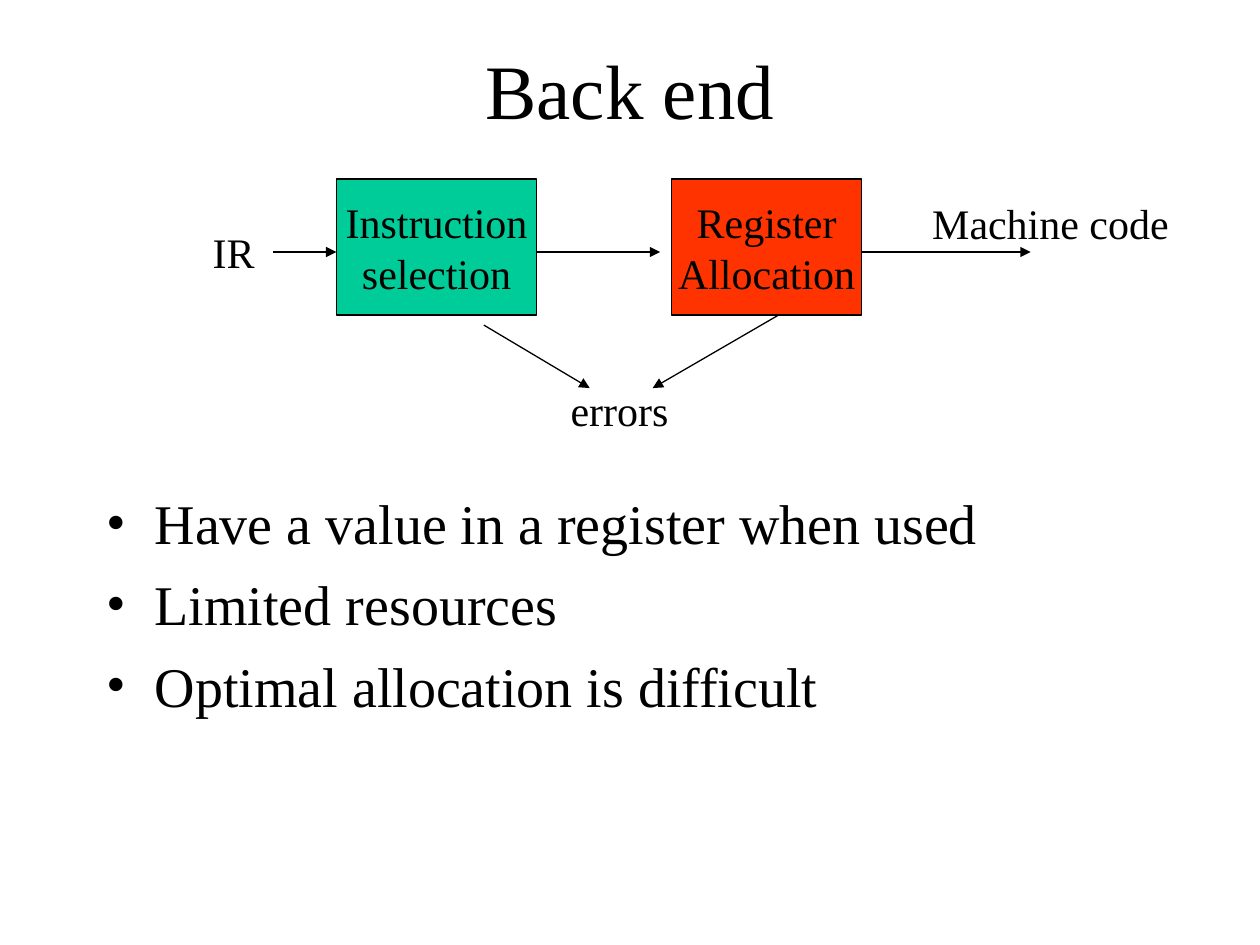
from dataclasses import dataclass

from lxml.etree import SubElement
from pptx import Presentation
from pptx.dml.color import RGBColor
from pptx.enum.shapes import MSO_CONNECTOR, MSO_SHAPE
from pptx.enum.text import MSO_ANCHOR, MSO_AUTO_SIZE, PP_ALIGN
from pptx.oxml.ns import qn
from pptx.util import Inches, Pt


@dataclass(frozen=True)
class Theme:
    """Colours, font and sizes of the slide."""
    font: str = "Times New Roman"
    ink: str = "000000"
    paper: str = "FFFFFF"
    green: str = "00CC99"
    red: str = "FF3300"
    title: int = 44
    body: int = 32
    label: int = 24
    line: float = 0.74
    bullet_gap: int = 8
    indent: float = 0.38


THEME = Theme()
WIDTH, HEIGHT = 10, 7.5
MARGIN = 0.75
FLOW = 2.0                        # height of the main line of arrows
STAGE_TOP, STAGE_HEIGHT = 1.42, 1.08
STAGE_BOTTOM = STAGE_TOP + STAGE_HEIGHT
ERRORS_TOP = 3.08

TITLE = "Back end"
BULLETS = ["Have a value in a register when used",
           "Limited resources",
           "Optimal allocation is difficult"]
# lines, left, width, fill
STAGES = [(["Instruction", "selection"], 2.67, 1.59, THEME.green),
          (["Register", "Allocation"], 5.33, 1.51, THEME.red)]
# text, left, top, width with a little room to spare
LABELS = [("IR", 1.59, 1.75, 0.56),
          ("Machine code", 7.3, 1.52, 2.12),
          ("errors", 4.43, 3.0, 1.02)]
# start, end
ARROWS = [((2.17, FLOW), (2.67, FLOW)),
          ((4.25, FLOW), (5.24, FLOW)),
          ((6.84, FLOW), (8.18, FLOW)),
          ((3.84, 2.58), (4.68, ERRORS_TOP)),
          ((6.18, STAGE_BOTTOM), (5.18, ERRORS_TOP))]


def colour(code):
    """Turn a hex code into a colour."""
    return RGBColor.from_string(code)


def write(frame, lines, size, align=PP_ALIGN.LEFT, anchor=MSO_ANCHOR.TOP, wrap=False):
    """Fill a text frame with one paragraph per line."""
    frame.word_wrap = wrap
    frame.auto_size = MSO_AUTO_SIZE.NONE
    frame.vertical_anchor = anchor
    for index, line in enumerate(lines):
        para = frame.paragraphs[0] if index == 0 else frame.add_paragraph()
        para.alignment = align
        span = para.add_run()
        span.text = line
        span.font.name = THEME.font
        span.font.size = Pt(size)
        span.font.color.rgb = colour(THEME.ink)


def add_bullets(page):
    """Add the bulleted list below the diagram."""
    box = page.shapes.add_textbox(Inches(MARGIN), Inches(3.83),
                                  Inches(WIDTH - 2 * MARGIN), Inches(2.83))
    write(box.text_frame, BULLETS, THEME.body, wrap=True)
    for para in box.text_frame.paragraphs:
        para.space_before = Pt(THEME.bullet_gap)
        properties = para._p.get_or_add_pPr()
        properties.set("marL", str(Inches(THEME.indent)))
        properties.set("indent", str(-Inches(THEME.indent)))
        SubElement(properties, qn("a:buFont"), typeface=THEME.font)
        SubElement(properties, qn("a:buChar"), char="•")


def add_stage(page, lines, left, width, fill):
    """Add one coloured stage of the back end."""
    stage = page.shapes.add_shape(MSO_SHAPE.RECTANGLE, Inches(left), Inches(STAGE_TOP),
                                  Inches(width), Inches(STAGE_HEIGHT))
    stage.shadow.inherit = False
    stage.fill.solid()
    stage.fill.fore_color.rgb = colour(fill)
    stage.line.color.rgb = colour(THEME.ink)
    stage.line.width = Pt(THEME.line)
    write(stage.text_frame, lines, THEME.label, PP_ALIGN.CENTER, MSO_ANCHOR.MIDDLE)


def add_label(page, text, left, top, width):
    """Add a free label on one line beside the arrows."""
    box = page.shapes.add_textbox(Inches(left), Inches(top), Inches(width), Inches(0.5))
    write(box.text_frame, [text], THEME.label, wrap=True)


def add_arrow(page, start, end):
    """Add a straight arrow between two points."""
    arrow = page.shapes.add_connector(MSO_CONNECTOR.STRAIGHT,
                                      *(Inches(value) for value in start + end))
    arrow.line.color.rgb = colour(THEME.ink)
    arrow.line.width = Pt(THEME.line)
    SubElement(arrow.line._get_or_add_ln(), qn("a:tailEnd"), type="triangle")
    SubElement(arrow._element.spPr, qn("a:effectLst"))


def build():
    """Build and save the slide."""
    deck = Presentation()
    deck.slide_width, deck.slide_height = Inches(WIDTH), Inches(HEIGHT)
    page = deck.slides.add_slide(deck.slide_layouts[5])
    page.background.fill.solid()
    page.background.fill.fore_color.rgb = colour(THEME.paper)

    title = page.shapes.title
    title.left, title.top = Inches(MARGIN), Inches(0.08)
    title.width, title.height = Inches(WIDTH - 2 * MARGIN), Inches(1.25)
    write(title.text_frame, [TITLE], THEME.title, PP_ALIGN.CENTER, MSO_ANCHOR.MIDDLE, True)

    add_bullets(page)
    for stage in STAGES:
        add_stage(page, *stage)
    for label in LABELS:
        add_label(page, *label)
    for arrow in ARROWS:
        add_arrow(page, *arrow)
    deck.save("out.pptx")


build()
